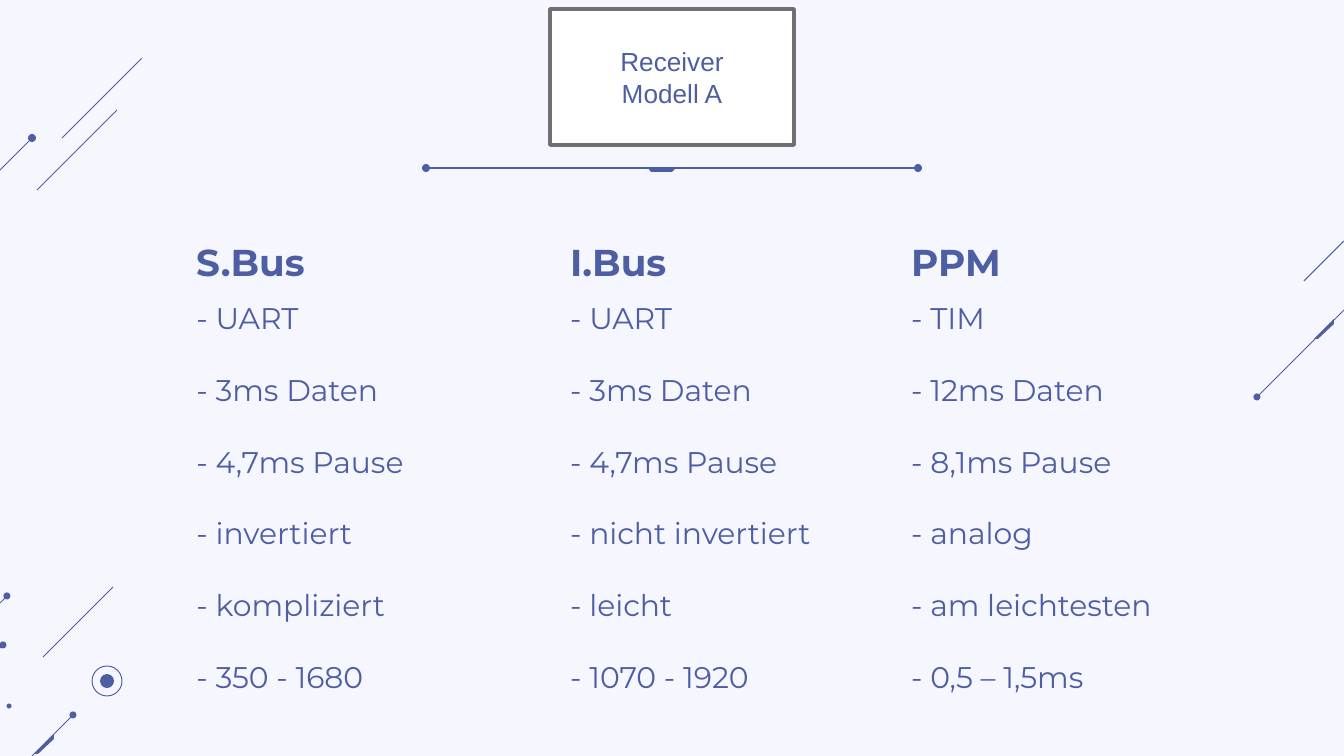
from typing import NamedTuple

from lxml import etree
from pptx import Presentation
from pptx.dml.color import RGBColor
from pptx.enum.shapes import MSO_CONNECTOR, MSO_SHAPE
from pptx.enum.text import MSO_ANCHOR, MSO_AUTO_SIZE, PP_ALIGN
from pptx.oxml.ns import qn
from pptx.util import Emu, Pt

STRAIGHT = MSO_CONNECTOR.STRAIGHT
OVAL = MSO_SHAPE.OVAL
TOP, MIDDLE = MSO_ANCHOR.TOP, MSO_ANCHOR.MIDDLE
LEFT, CENTER = PP_ALIGN.LEFT, PP_ALIGN.CENTER
NO_AUTOFIT = MSO_AUTO_SIZE.NONE

INDIGO = RGBColor(0x4E, 0x5E, 0xA3)
PALE = RGBColor(0xF6, 0xF6, 0xFF)
WHITE = RGBColor(0xFF, 0xFF, 0xFF)
GRAY = RGBColor(0x70, 0x70, 0x70)

EMU_PER_PX = 6804
SLIDE_W, SLIDE_H = 1344, 756
HEADING_Y, HEADING_H = 233, 59
LIST_Y = 300
THIN = Pt(0.5)


def px(n: float) -> Emu:
    return Emu(round(n * EMU_PER_PX))


class Column(NamedTuple):
    heading: str
    x: int
    heading_w: int
    list_w: int
    list_h: int
    items: list[str]


class Line(NamedTuple):
    x1: int
    y1: int
    x2: int
    y2: int


class Dot(NamedTuple):
    cx: int
    cy: int
    d: int


COLUMNS = [
    Column("S.Bus", 183, 243, 263, 383,
           ["UART", "3ms Daten", "4,7ms Pause", "invertiert",
            "kompliziert", "350 - 1680"]),
    Column("I.Bus", 557, 198, 296, 419,
           ["UART", "3ms Daten", "4,7ms Pause", "nicht invertiert",
            "leicht", "1070 - 1920"]),
    Column("PPM", 898, 185, 286, 405,
           ["TIM", "12ms Daten", "8,1ms Pause", "analog",
            "am leichtesten", "0,5 – 1,5ms"]),
]

LINES = [
    # Bottom left
    Line(7, 596, 0, 603), Line(3, 645, 0, 648),
    Line(73, 715, 32, 756), Line(113, 587, 43, 657),
    # Top left
    Line(142, 58, 62, 138), Line(117, 110, 37, 190), Line(32, 138, 0, 170),
    # Right
    Line(1344, 310, 1257, 397), Line(1344, 241, 1304, 281),
]
RULE = Line(914, 168, 430, 168)

DOTS = [
    Dot(7, 596, 7), Dot(3, 645, 7), Dot(73, 715, 7), Dot(9, 706, 5),
    Dot(107, 681, 14), Dot(32, 138, 8), Dot(1257, 397, 7),
    Dot(426, 168, 8), Dot(918, 168, 8),
]
RING = Dot(107, 681, 30)

WEDGE = [(20, 0), (0, 20), (4, 20), (20, 5)]
WEDGE_ORIGINS = [(34, 734), (1314, 319)]
RULE_TAB = [(648, 168), (676, 168), (672, 172), (651, 172)]


def place(s, x: int, y: int, w: int, h: int) -> None:
    s.left, s.top, s.width, s.height = px(x), px(y), px(w), px(h)


def add_line(shapes, line: Line, width: Pt = THIN) -> None:
    s = shapes.add_connector(STRAIGHT, *(px(v) for v in line))
    s.line.color.rgb = INDIGO
    s.line.width = width
    etree.SubElement(s._element.spPr, qn("a:effectLst"))


def add_circle(shapes, dot: Dot, filled: bool = True) -> None:
    s = shapes.add_shape(OVAL, px(dot.cx - dot.d / 2), px(dot.cy - dot.d / 2),
                         px(dot.d), px(dot.d))
    s.shadow.inherit = False
    if filled:
        s.fill.solid()
        s.fill.fore_color.rgb = INDIGO
        s.line.fill.background()
    else:
        s.fill.background()
        s.line.color.rgb = INDIGO
        s.line.width = THIN


def add_polygon(shapes, points: list[tuple[int, int]]) -> None:
    builder = shapes.build_freeform(*points[0], scale=EMU_PER_PX)
    builder.add_line_segments(points[1:], close=True)
    s = builder.convert_to_shape()
    s.shadow.inherit = False
    s.fill.solid()
    s.fill.fore_color.rgb = INDIGO
    s.line.fill.background()


def write(tf, texts: list[str], font: str, size: int, bold: bool = False,
          align=LEFT, anchor=TOP, gap: float = 0) -> None:
    tf.word_wrap = True
    tf.auto_size = NO_AUTOFIT
    tf.vertical_anchor = anchor
    for i, text in enumerate(texts):
        p = tf.paragraphs[0] if i == 0 else tf.add_paragraph()
        pPr = p._p.get_or_add_pPr()
        pPr.set("marL", "0")
        pPr.set("indent", "0")
        etree.SubElement(pPr, qn("a:buNone"))
        p.alignment = align
        p.space_before = Pt(gap if i else 0)
        r = p.add_run()
        r.text = text
        r.font.name = font
        r.font.size = Pt(size)
        r.font.bold = bold
        r.font.color.rgb = INDIGO


def add_column(shapes, col: Column, body=None) -> None:
    heading = shapes.add_textbox(px(col.x), px(HEADING_Y),
                                 px(col.heading_w), px(HEADING_H))
    write(heading.text_frame, [col.heading], "Montserrat", 20, bold=True)

    s = body or shapes.add_textbox(0, 0, 0, 0)
    place(s, col.x, LIST_Y, col.list_w, col.list_h)
    tf = s.text_frame
    tf.margin_top = tf.margin_bottom = 0
    write(tf, [f"- {item}" for item in col.items], "Montserrat", 16, gap=19.2)


def main() -> None:
    prs = Presentation()
    prs.slide_width, prs.slide_height = px(SLIDE_W), px(SLIDE_H)
    slide = prs.slides.add_slide(prs.slide_layouts[1])
    slide.background.fill.solid()
    slide.background.fill.fore_color.rgb = PALE
    shapes = slide.shapes

    # Decorative lines and dots
    for line in LINES:
        add_line(shapes, line)
    add_line(shapes, RULE, Pt(0.75))
    for dot in DOTS:
        add_circle(shapes, dot)
    add_circle(shapes, RING, filled=False)
    for x, y in WEDGE_ORIGINS:
        add_polygon(shapes, [(x + dx, y + dy) for dx, dy in WEDGE])
    add_polygon(shapes, RULE_TAB)

    # Receiver box
    title = shapes.title
    place(title, 550, 9, 244, 136)
    title.fill.solid()
    title.fill.fore_color.rgb = WHITE
    title.line.color.rgb = GRAY
    title.line.width = Pt(2)
    write(title.text_frame, ["Receiver", "Modell A"], "Arial", 14,
          align=CENTER, anchor=MIDDLE)

    # Protocol columns
    bodies = [slide.placeholders[1], None, None]
    for col, body in zip(COLUMNS, bodies):
        add_column(shapes, col, body)

    prs.save("out.pptx")


if __name__ == "__main__":
    main()
